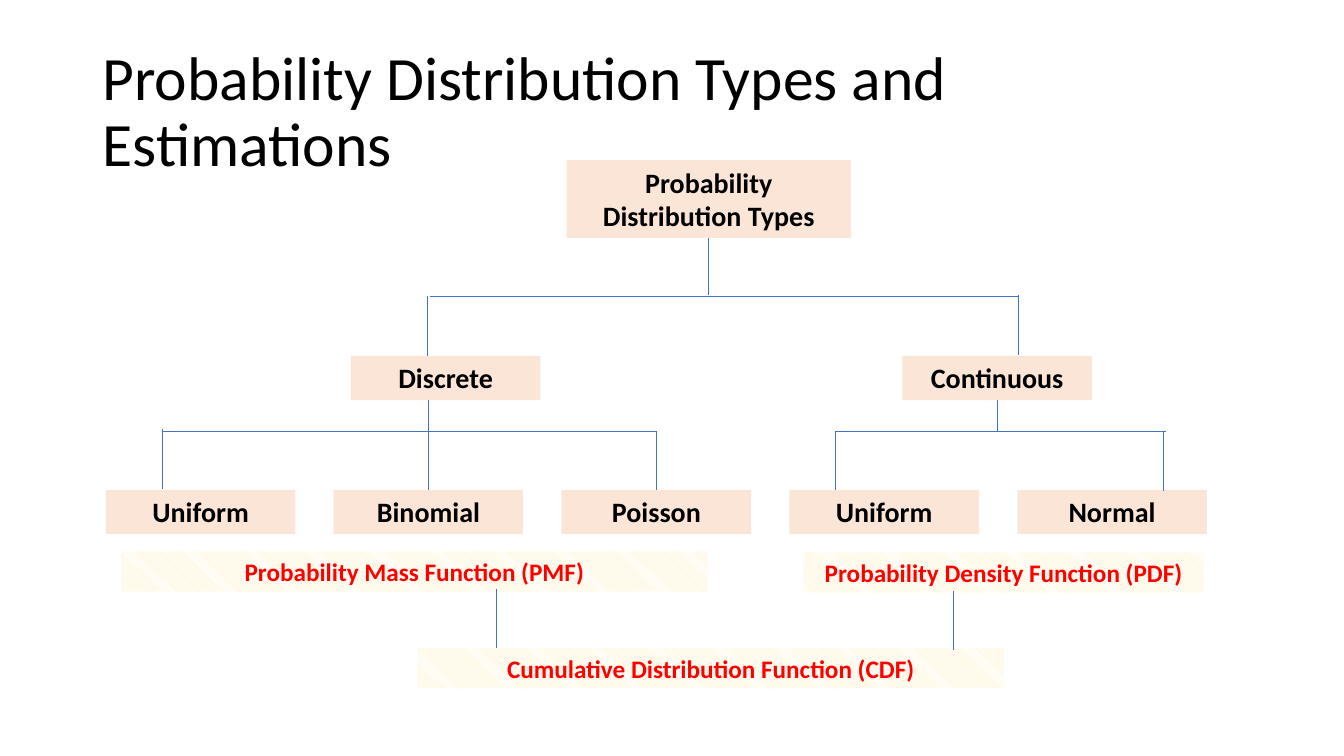
from lxml import etree
from pptx import Presentation
from pptx.dml.color import RGBColor
from pptx.enum.dml import MSO_PATTERN
from pptx.enum.shapes import MSO_CONNECTOR, MSO_SHAPE
from pptx.enum.text import MSO_ANCHOR, PP_ALIGN
from pptx.oxml.ns import qn
from pptx.util import Inches, Pt

BLACK = RGBColor(0x00, 0x00, 0x00)
WHITE = RGBColor(0xFF, 0xFF, 0xFF)
RED = RGBColor(0xFF, 0x00, 0x00)
PEACH = RGBColor(0xFB, 0xE5, 0xD6)
YELLOW = RGBColor(0xFF, 0xE6, 0x99)
BLUE = RGBColor(0x44, 0x72, 0xC4)

prs = Presentation()
prs.slide_width, prs.slide_height = Inches(13.33), Inches(7.5)
s = prs.slides.add_slide(prs.slide_layouts[6])


def write(sp, text, size=20, color=BLACK, bold=True, align=PP_ALIGN.CENTER,
          anchor=MSO_ANCHOR.TOP, spacing=1.0):
    tf = sp.text_frame
    tf.word_wrap = True
    tf.vertical_anchor = anchor
    p = tf.paragraphs[0]
    p.alignment = align
    p.line_spacing = spacing
    r = p.add_run()
    r.text = text
    r.font.name = "Calibri"
    r.font.size = Pt(size)
    r.font.bold = bold
    r.font.color.rgb = color


# Title
title = s.shapes.add_textbox(Inches(0.92), Inches(0.4), Inches(11.5), Inches(1.45))
write(title, "Probability Distribution Types and Estimations", size=44, bold=False,
      align=PP_ALIGN.LEFT, anchor=MSO_ANCHOR.MIDDLE, spacing=0.9)

# Tree boxes: root, two families, a row of five distributions
nodes = [
    ("Probability Distribution Types", 5.62, 1.59, 2.82, 0.77),
    ("Discrete", 3.48, 3.53, 1.88, 0.44),
    ("Continuous", 8.95, 3.53, 1.88, 0.44),
]
for i, name in enumerate(["Uniform", "Binomial", "Poisson", "Uniform", "Normal"]):
    nodes.append((name, 1.05 + 2.26 * i, 4.86, 1.88, 0.44))

boxes = []
for name, x, y, w, h in nodes:
    sp = s.shapes.add_shape(MSO_SHAPE.RECTANGLE, Inches(x), Inches(y), Inches(w), Inches(h))
    sp.shadow.inherit = False
    sp.fill.solid()
    sp.fill.fore_color.rgb = PEACH
    sp.line.fill.background()
    write(sp, name)
    boxes.append(sp)
root, discrete, continuous, uniform, binomial, poisson = boxes[:6]

# Function bars with a striped fill
for name, x, y, w in [
    ("Probability Mass Function (PMF)", 1.2, 5.47, 5.82),
    ("Probability Density Function (PDF)", 7.97, 5.48, 3.97),
    ("Cumulative Distribution Function (CDF)", 4.14, 6.43, 5.82),
]:
    sp = s.shapes.add_shape(MSO_SHAPE.RECTANGLE, Inches(x), Inches(y), Inches(w), Inches(0.4))
    sp.shadow.inherit = False
    sp.fill.patterned()
    sp.fill.pattern = MSO_PATTERN.DARK_DOWNWARD_DIAGONAL
    sp.fill.fore_color.rgb = YELLOW
    sp.fill.back_color.rgb = WHITE
    sp.line.fill.background()
    write(sp, name, size=18, color=RED)

# Lines: x1, y1, x2, y2, box joined at its bottom, box joined at its top
for x1, y1, x2, y2, above, below in [
    (7.03, 2.36, 7.03, 2.93, root, None),
    (4.26, 2.94, 10.1, 2.94, None, None),
    (4.24, 2.94, 4.24, 3.53, None, None),
    (10.1, 2.93, 10.1, 3.52, None, None),
    (4.25, 3.97, 4.25, 4.86, None, binomial),
    (1.61, 4.28, 6.52, 4.28, None, None),
    (1.61, 4.26, 1.61, 4.85, None, None),
    (6.51, 4.28, 6.51, 4.86, None, poisson),
    (9.89, 3.97, 9.89, 4.28, continuous, None),
    (8.29, 4.28, 11.56, 4.28, None, None),
    (8.29, 4.28, 8.29, 4.86, None, None),
    (11.54, 4.28, 11.54, 4.87, None, None),
    (4.92, 5.84, 4.92, 6.43, None, None),
    (9.46, 5.86, 9.46, 6.45, None, None),
]:
    line = s.shapes.add_connector(MSO_CONNECTOR.STRAIGHT, Inches(x1), Inches(y1),
                                  Inches(x2), Inches(y2))
    line.line.color.rgb = BLUE
    line.line.width = Pt(0.5)
    etree.SubElement(line._element.spPr, qn("a:effectLst"))
    if above is not None:
        line.begin_connect(above, 2)
    if below is not None:
        line.end_connect(below, 0)

prs.save("out.pptx")
